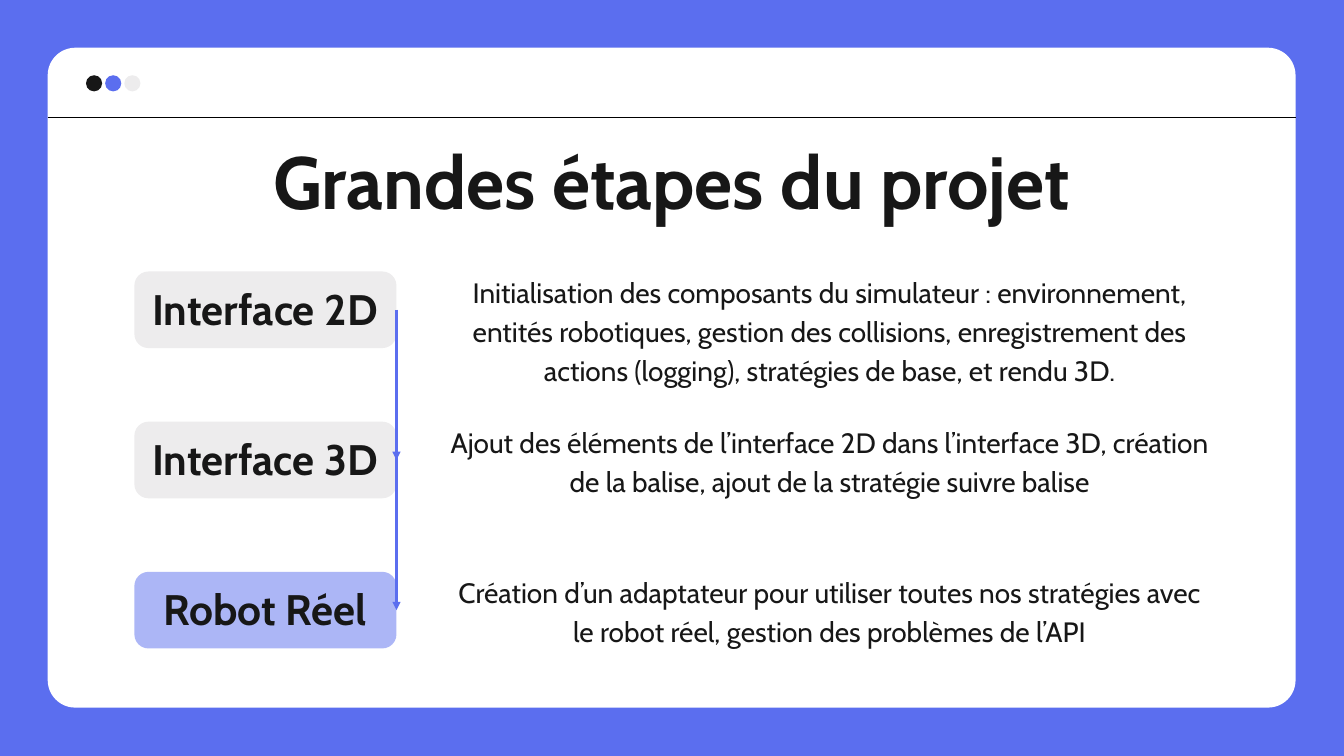
from typing import NamedTuple

from lxml import etree
from pptx import Presentation
from pptx.dml.color import RGBColor
from pptx.enum.shapes import MSO_CONNECTOR, MSO_SHAPE
from pptx.enum.text import MSO_ANCHOR, MSO_AUTO_SIZE, PP_ALIGN
from pptx.oxml.ns import qn
from pptx.util import Inches, Pt

BLUE = RGBColor(0x5B, 0x6E, 0xEF)
WHITE = RGBColor(0xFF, 0xFF, 0xFF)
BLACK = RGBColor(0, 0, 0)
INK = RGBColor(0x17, 0x17, 0x17)
GREY = RGBColor(0xED, 0xEC, 0xED)

OVAL = MSO_SHAPE.OVAL
ROUND = MSO_SHAPE.ROUNDED_RECTANGLE
LINE = MSO_CONNECTOR.STRAIGHT
CENTER = PP_ALIGN.CENTER
TOP = MSO_ANCHOR.TOP
NO_FIT = MSO_AUTO_SIZE.NONE
RIGHT = 3

FONT = "Cabin"
ROW_TOP, ROW_STEP = 4.04, 2.235


class Box(NamedTuple):
    left: float
    top: float
    width: float
    height: float

    def emu(self) -> list:
        return [Inches(v) for v in self]


class Step(NamedTuple):
    name: str
    text: str
    color: RGBColor
    alpha: int = 100


STEPS = [
    Step("Interface 2D",
         "Initialisation des composants du simulateur : environnement, "
         "entités robotiques, gestion des collisions, enregistrement des "
         "actions (logging), stratégies de base, et rendu 3D.", GREY),
    Step("Interface 3D",
         "Ajout des éléments de l’interface 2D dans l’interface 3D, création "
         "de la balise, ajout de la stratégie suivre balise", GREY),
    Step("Robot Réel",
         "Création d’un adaptateur pour utiliser toutes nos stratégies avec "
         "le robot réel, gestion des problèmes de l’API", BLUE, 50),
]


def add_shape(slide, kind, box: Box, color: RGBColor, radius: float = 0,
              alpha: int = 100):
    """Add a borderless shape; radius is in inches, alpha in percent."""
    shape = slide.shapes.add_shape(kind, *box.emu())
    shape.shadow.inherit = False
    shape.fill.solid()
    shape.fill.fore_color.rgb = color
    shape.line.fill.background()
    if radius:
        shape.adjustments[0] = radius / box.height
    if alpha < 100:
        tint = shape._element.spPr.find(".//" + qn("a:srgbClr"))
        etree.SubElement(tint, qn("a:alpha"), val=str(alpha * 1000))
    return shape


def add_line(slide, start: tuple, end: tuple, color: RGBColor, width: float):
    ends = [Inches(v) for v in (*start, *end)]
    line = slide.shapes.add_connector(LINE, *ends)
    line.line.color.rgb = color
    line.line.width = Pt(width)
    etree.SubElement(line._element.spPr, qn("a:effectLst"))
    return line


def add_arrow(slide, first, last) -> None:
    """Draw an arrow between the right sides of two labels."""
    line = add_line(slide, (0, 0), (0, 0), BLUE, 3)
    line.begin_connect(first, RIGHT)
    line.end_connect(last, RIGHT)
    etree.SubElement(line.line._get_or_add_ln(), qn("a:tailEnd"),
                     type="triangle")


def set_text(shape, text: str, size: float, space: float,
             bold: bool = False) -> None:
    frame = shape.text_frame
    frame.margin_left = frame.margin_right = 0
    frame.margin_top = frame.margin_bottom = 0
    frame.word_wrap = True
    frame.auto_size = NO_FIT
    frame.vertical_anchor = TOP
    para = frame.paragraphs[0]
    para.alignment = CENTER
    para.line_spacing = Pt(space)
    run = para.add_run()
    run.text = text
    run.font.name = FONT
    run.font.size = Pt(size)
    run.font.bold = bold
    run.font.color.rgb = INK


def add_window(slide) -> None:
    add_shape(slide, ROUND, Box(0.71, 0.71, 18.57, 9.82), WHITE, 0.41)
    add_line(slide, (0.71, 1.75), (19.29, 1.75), BLACK, 1)
    for i, color in enumerate((INK, BLUE, GREY)):
        add_shape(slide, OVAL, Box(1.28 + i * 0.285, 1.12, 0.24, 0.24), color)


def add_title(slide, text: str) -> None:
    title = slide.shapes.title
    title.left, title.top, title.width, title.height = Box(
        2.89, 2.24, 14.21, 1.16).emu()
    set_text(title, text, 79.2, 79.2, True)
    slide.shapes._spTree.append(title._element)  # bring in front of the window


def add_step(slide, step: Step, top: float):
    label = add_shape(slide, ROUND, Box(2, top, 3.9, 1.14), step.color, 0.21,
                      step.alpha)
    name = slide.shapes.add_textbox(*Box(2.2, top + 0.29, 3.49, 0.66).emu())
    set_text(name, step.name, 45.7, 45.7, True)
    body = slide.shapes.add_textbox(*Box(6.68, top - 0.03, 11.33, 1.71).emu())
    set_text(body, step.text, 30, 42)
    return label


def main() -> None:
    deck = Presentation()
    deck.slide_width, deck.slide_height = Inches(20), Inches(11.25)
    slide = deck.slides.add_slide(deck.slide_layouts[5])
    slide.background.fill.solid()
    slide.background.fill.fore_color.rgb = BLUE

    add_window(slide)
    add_title(slide, "Grandes étapes du projet")
    first, *rest = [add_step(slide, step, ROW_TOP + i * ROW_STEP)
                    for i, step in enumerate(STEPS)]
    for label in rest:
        add_arrow(slide, first, label)

    deck.save("out.pptx")


if __name__ == "__main__":
    main()
